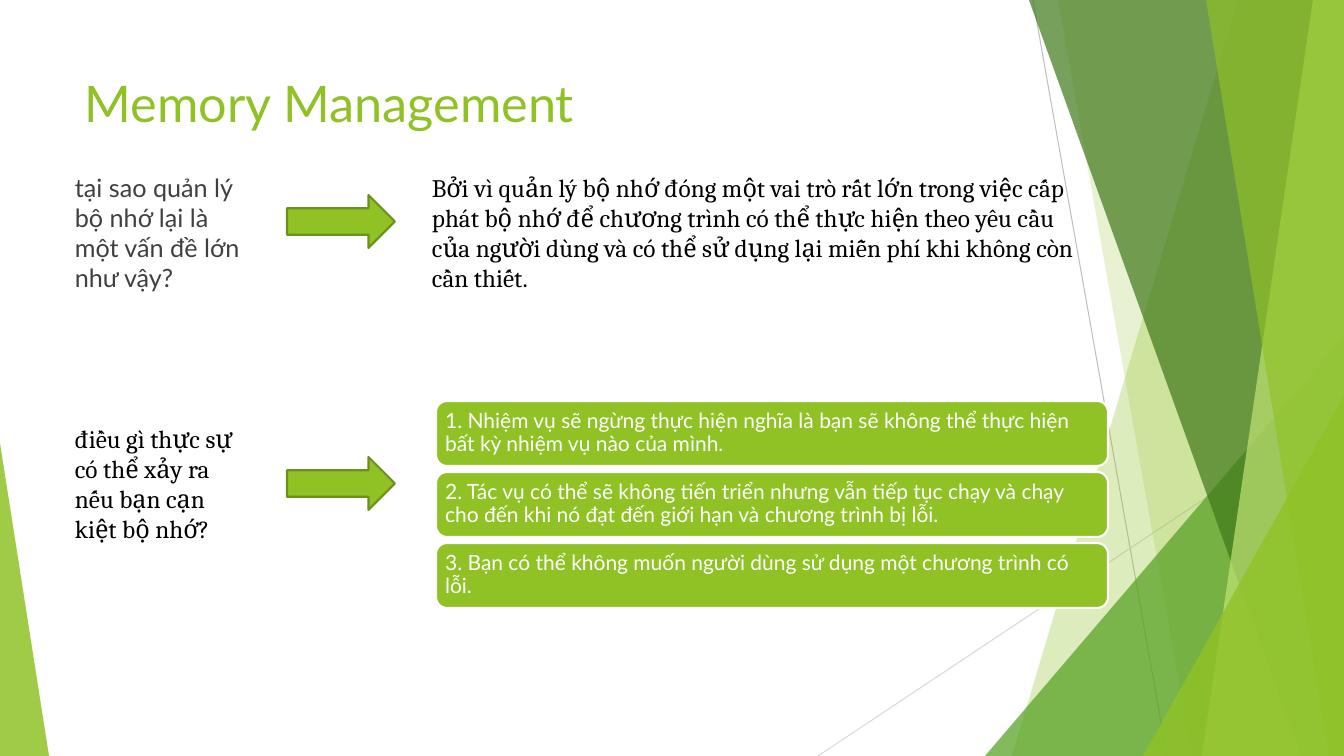
from pptx import Presentation
from pptx.dml.color import RGBColor
from pptx.enum.shapes import MSO_CONNECTOR, MSO_SHAPE
from pptx.enum.text import MSO_ANCHOR, PP_ALIGN
from pptx.oxml.ns import qn
from pptx.util import Pt
from lxml.etree import SubElement

W, H = 1344, 756
SCALE = 914400 / 100.8
COLORS = {
    "green": "90C226", "mid": "54A021", "dark": "3F7819", "light": "C0E474",
    "outline": "6B901C", "white": "FFFFFF", "black": "000000", "gray": "404040",
    "line": "BFBFBF", "pale": "D9D9D9",
}

LINES = [((1033, 0), (1167, H), "line"), ((W, 406), (818, H), "pale")]
DECOR = [
    ("band", (1238, 1012), "green", 30),
    ("band", (1058, 1192), "green", 20),
    ("triangle", (985, 336, 1), "mid", 72),
    ("band", (1029, 1301), "dark", 70),
    ("band", (1313, 1202), "light", 70),
    ("band", (1206, 1329), "green", 65),
    ("triangle", (1143, 396, 1), "green", 80),
    ("triangle", (0, 443, 0), "green", 85),
]
LEFT_TRIANGLE_WIDTH = 49

TEXTS = [
    ("Memory Management", (75, 67, 948, 145), "Lato", 36, "green"),
    ("tại sao quản lý bộ nhớ lại là một vấn đề lớn như vậy?",
     (65, 167, 195, 132), "Lato", 18, "gray"),
    ("Bởi vì quản lý bộ nhớ đóng một vai trò rất lớn trong việc cấp phát bộ nhớ "
     "để chương trình có thể thực hiện theo yêu cầu của người dùng và có thể sử "
     "dụng lại miễn phí khi không còn cần thiết.",
     (422, 167, 672, 132), "Cambria", 18, "black"),
    ("điều gì thực sự có thể xảy ra nếu bạn cạn kiệt bộ nhớ?",
     (65, 418, 187, 163), "Cambria", 18, "black"),
]
ARROW_TOPS = [195, 457]
BARS = [
    "1. Nhiệm vụ sẽ ngừng thực hiện nghĩa là bạn sẽ không thể thực hiện bất kỳ "
    "nhiệm vụ nào của mình.",
    "2. Tác vụ có thể sẽ không tiến triển nhưng vẫn tiếp tục chạy và chạy cho đến "
    "khi nó đạt đến giới hạn và chương trình bị lỗi.",
    "3. Bạn có thể không muốn người dùng sử dụng một chương trình có lỗi.",
]
BAR_LEFT, BAR_TOP, BAR_W, BAR_H, BAR_STEP = 436, 401, 672, 65, 71


def px(*values):
    return [round(v * SCALE) for v in values]


def rgb(name):
    return RGBColor.from_string(COLORS[name])


def paint(sp, fill, line=None, alpha=None):
    sp.shadow.inherit = False
    sp.fill.solid()
    sp.fill.fore_color.rgb = rgb(fill)
    if alpha:
        color = sp.fill._xPr.find(qn("a:solidFill"))[0]
        SubElement(color, qn("a:alpha"), val=str(alpha * 1000))
    if line:
        sp.line.color.rgb = rgb(line)
        sp.line.width = Pt(1.5)
    else:
        sp.line.fill.background()


def write(sp, text, font, size, color):
    tf = sp.text_frame
    tf.word_wrap = True
    p = tf.paragraphs[0]
    p.text = text
    p.alignment = PP_ALIGN.LEFT
    p.font.name = font
    p.font.size = Pt(size)
    p.font.color.rgb = rgb(color)
    return tf


def add_band(shapes, top_x, bottom_x):
    builder = shapes.build_freeform(top_x, 0, scale=SCALE)
    builder.add_line_segments([(W, 0), (W, H), (bottom_x, H)], close=True)
    return builder.convert_to_shape()


def add_triangle(shapes, left, top, apex):
    width = W - left if apex else LEFT_TRIANGLE_WIDTH
    sp = shapes.add_shape(MSO_SHAPE.ISOSCELES_TRIANGLE, *px(left, top, width, H - top))
    sp.adjustments[0] = apex
    return sp


def main():
    prs = Presentation()
    prs.slide_width, prs.slide_height = px(W, H)
    shapes = prs.slides.add_slide(prs.slide_layouts[6]).shapes

    for start, end, color in LINES:
        line = shapes.add_connector(MSO_CONNECTOR.STRAIGHT, *px(*start, *end))
        line.line.color.rgb = rgb(color)
        line.line.width = Pt(0.75)
        SubElement(line._element.spPr, qn("a:effectLst"))

    for kind, geometry, color, alpha in DECOR:
        add = add_band if kind == "band" else add_triangle
        paint(add(shapes, *geometry), color, alpha=alpha)

    for text, box, font, size, color in TEXTS:
        write(shapes.add_textbox(*px(*box)), text, font, size, color)

    for top in ARROW_TOPS:
        arrow = shapes.add_shape(MSO_SHAPE.RIGHT_ARROW, *px(287, top, 108, 53))
        paint(arrow, "green", "outline")

    for i, text in enumerate(BARS):
        box = px(BAR_LEFT, BAR_TOP + i * BAR_STEP, BAR_W, BAR_H)
        bar = shapes.add_shape(MSO_SHAPE.ROUNDED_RECTANGLE, *box)
        paint(bar, "green", "white")
        tf = write(bar, text, "Lato", 15, "white")
        tf.vertical_anchor = MSO_ANCHOR.MIDDLE
        tf.margin_left, tf.margin_top, tf.margin_right, tf.margin_bottom = px(6, 6, 6, 6)
        tf.paragraphs[0].line_spacing = 0.9

    prs.save("out.pptx")


if __name__ == "__main__":
    main()
